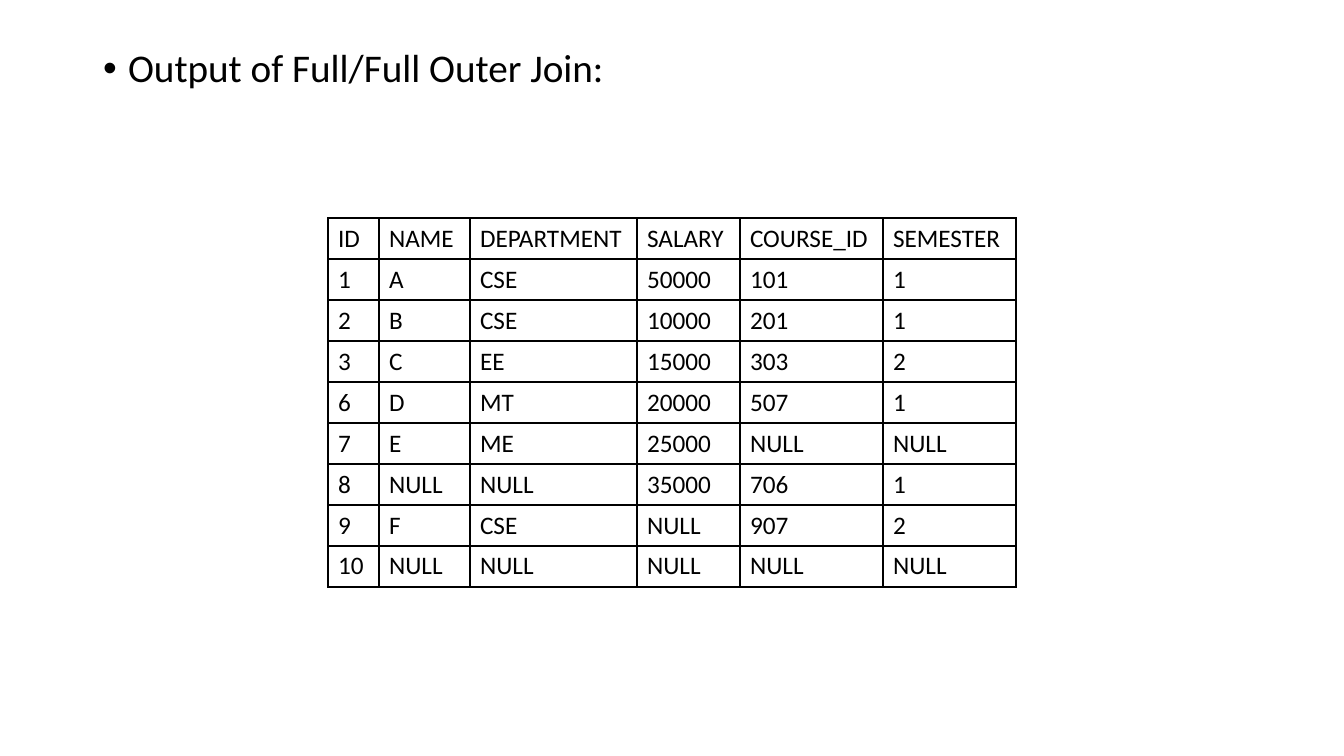
from dataclasses import dataclass

from pptx import Presentation
from pptx.dml.color import RGBColor as Rgb
from pptx.enum.text import MSO_ANCHOR as Anchor, MSO_AUTO_SIZE as Fit, PP_ALIGN as Align
from pptx.oxml import parse_xml
from pptx.oxml.ns import nsdecls
from pptx.util import Pt

# Content
HEAD = "Output of Full/Full Outer Join:"
ROWS = [
    ("ID", "NAME", "DEPARTMENT", "SALARY", "COURSE_ID", "SEMESTER"),
    ("1", "A", "CSE", "50000", "101", "1"),
    ("2", "B", "CSE", "10000", "201", "1"),
    ("3", "C", "EE", "15000", "303", "2"),
    ("6", "D", "MT", "20000", "507", "1"),
    ("7", "E", "ME", "25000", "NULL", "NULL"),
    ("8", "NULL", "NULL", "35000", "706", "1"),
    ("9", "F", "CSE", "NULL", "907", "2"),
    ("10", "NULL", "NULL", "NULL", "NULL", "NULL"),
]

# Layout in px
PAGE = (1344, 756)
BODY = (93, 44, 1159, 636)
GRID = (328, 218)
COLS = (51, 91, 167, 103, 143, 133)
ROW_H = 41
INDENT = 25


@dataclass(frozen=True)
class Theme:
    font: str = "Calibri"
    ink: str = "000000"
    head: int = 28
    cell: int = 18
    line: int = 1


THEME = Theme()


def px(n):
    return round(n * 914400 / 100.8)


def write(frame, text, size, space=1.0, before=0):
    para = frame.paragraphs[0]
    para.alignment = Align.LEFT
    para.line_spacing = space
    para.space_before = Pt(before)
    run = para.add_run()
    run.text = text
    run.font.name = THEME.font
    run.font.size = Pt(size)
    run.font.color.rgb = Rgb.from_string(THEME.ink)
    return para


def bullet(para):
    props = para._p.get_or_add_pPr()
    props.set("marL", str(px(INDENT)))
    props.set("indent", str(-px(INDENT)))
    for xml in ('<a:buFont %s typeface="Arial"/>', '<a:buChar %s char="•"/>'):
        props.append(parse_xml(xml % nsdecls("a")))


def border(cell):
    props = cell._tc.get_or_add_tcPr()
    for i, side in enumerate(("lnL", "lnR", "lnT", "lnB")):
        props.insert(i, parse_xml(
            f'<a:{side} {nsdecls("a")} w="{Pt(THEME.line)}"><a:solidFill>'
            f'<a:srgbClr val="{THEME.ink}"/></a:solidFill></a:{side}>'))


def main():
    deck = Presentation()
    deck.slide_width, deck.slide_height = map(px, PAGE)
    slide = deck.slides.add_slide(deck.slide_layouts[1])

    # Bulleted heading in the body placeholder; the slide has no title
    title = slide.shapes.title._element
    title.getparent().remove(title)
    body = slide.placeholders[1]
    body.left, body.top, body.width, body.height = map(px, BODY)
    frame = body.text_frame
    frame.auto_size = Fit.NONE
    frame.vertical_anchor = Anchor.TOP
    bullet(write(frame, HEAD, THEME.head, space=0.9, before=10))

    # Join result table
    size = (sum(COLS), ROW_H * len(ROWS))
    table = slide.shapes.add_table(
        len(ROWS), len(COLS), *map(px, GRID + size)).table
    table.first_row = table.horz_banding = False
    for col, wide in zip(table.columns, COLS):
        col.width = px(wide)
    for row, words in zip(table.rows, ROWS):
        row.height = px(ROW_H)
        for cell, word in zip(row.cells, words):
            cell.fill.background()
            border(cell)
            write(cell.text_frame, word, THEME.cell)

    deck.save("out.pptx")


if __name__ == "__main__":
    main()
